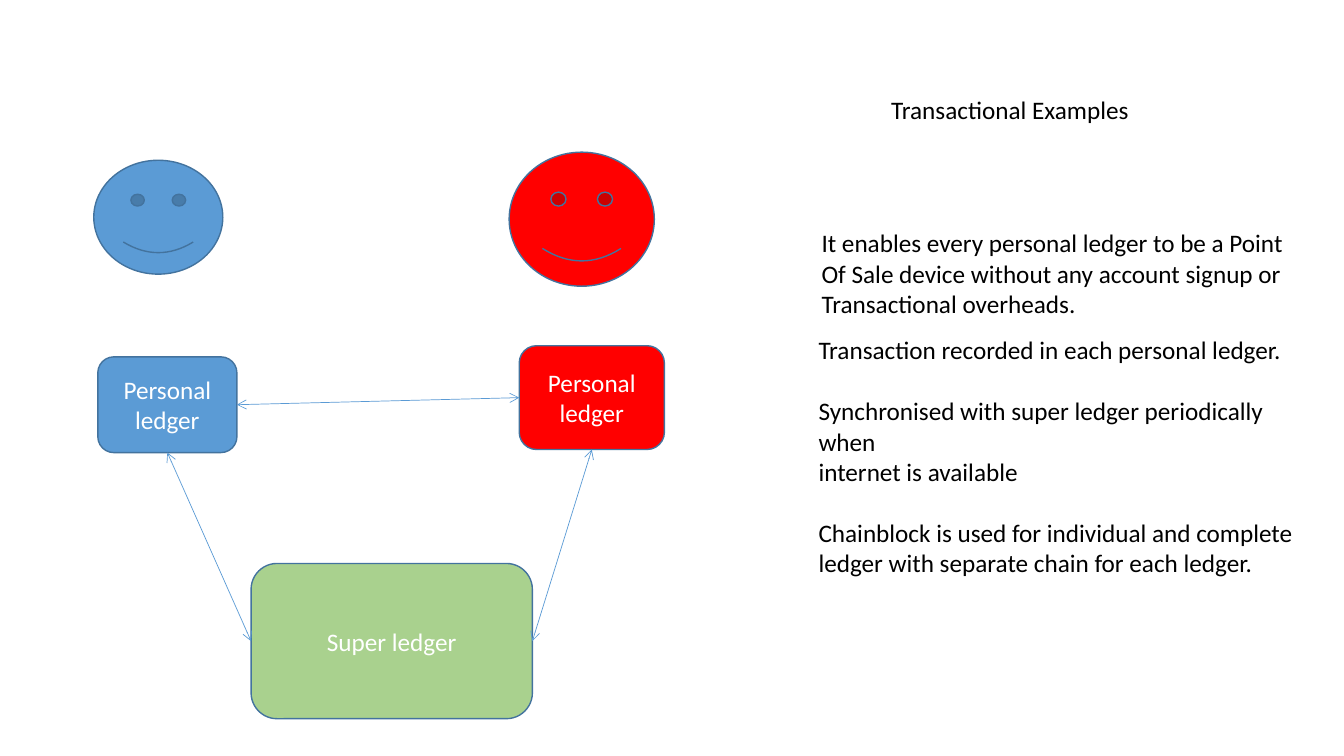
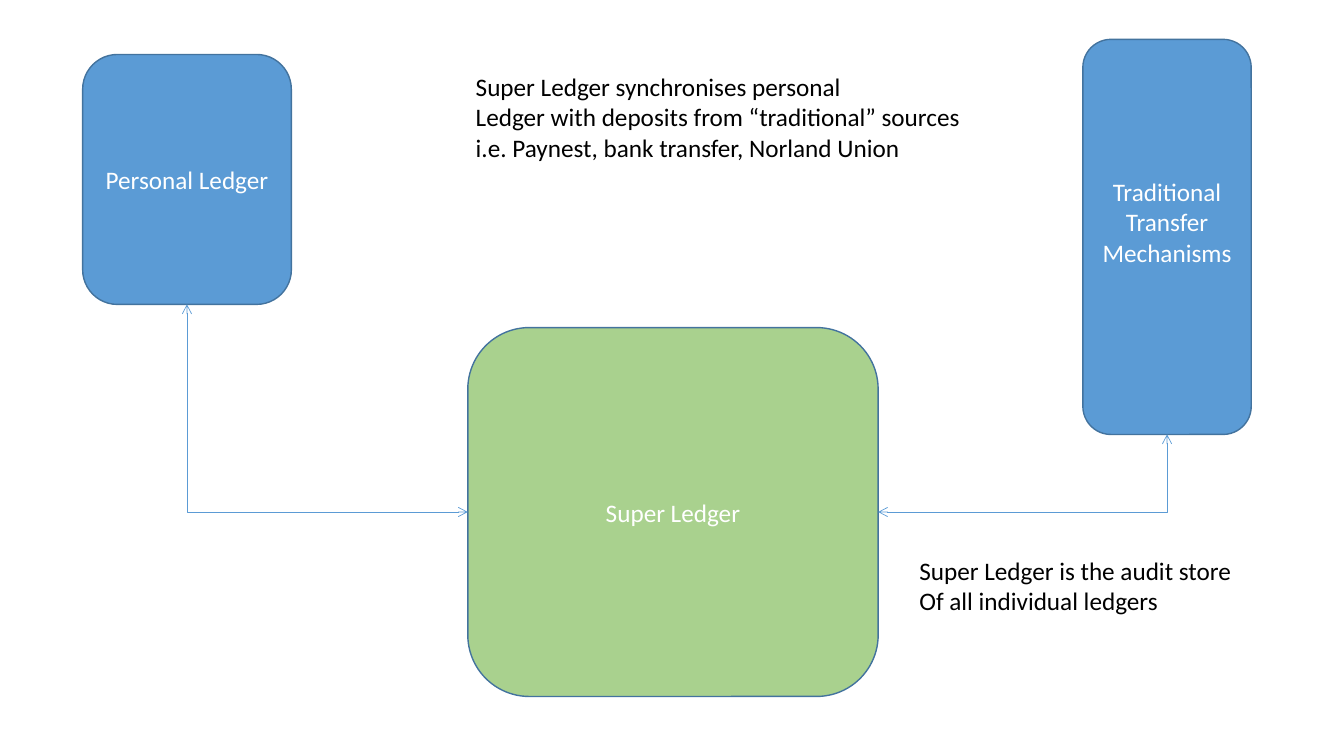
from lxml import etree
from pptx import Presentation
from pptx.dml.color import RGBColor
from pptx.enum.shapes import MSO_CONNECTOR, MSO_SHAPE
from pptx.enum.text import MSO_ANCHOR, PP_ALIGN
from pptx.oxml.ns import qn
from pptx.util import Inches, Pt

FACE, BLOCK = MSO_SHAPE.SMILEY_FACE, MSO_SHAPE.ROUNDED_RECTANGLE
STRAIGHT, ELBOW = MSO_CONNECTOR.STRAIGHT, MSO_CONNECTOR.ELBOW
LEFT, BOTTOM, RIGHT = 1, 2, 3

FONT, SIZE, LINE_HEIGHT = "Calibri", 18, 22
BLUE, RED, GREEN = "5B9BD5", "FF0000", "A9D18E"
OUTLINE, WHITE, BLACK = "43739E", "FFFFFF", "000000"

# shapes: key: (kind, left, top, width, height, fill, lines)
# links: (kind, from key, from side, to key, to side)
# notes: (left, top, width, height, wraps, groups of lines)
SLIDES = [
    {
        "shapes": {
            "payer": (FACE, 0.93, 1.59, 1.28, 1.13, BLUE, []),
            "payee": (FACE, 5.05, 1.51, 1.44, 1.33, RED, []),
            "payer ledger": (BLOCK, 0.97, 3.54, 1.38, 0.95, BLUE, ["Personal ledger"]),
            "payee ledger": (BLOCK, 5.15, 3.43, 1.44, 1.03, RED, ["Personal ledger"]),
            "super ledger": (BLOCK, 2.49, 5.59, 2.79, 1.54, GREEN, ["Super ledger"]),
        },
        "links": [
            (STRAIGHT, "payer ledger", RIGHT, "payee ledger", LEFT),
            (STRAIGHT, "payer ledger", BOTTOM, "super ledger", LEFT),
            (STRAIGHT, "payee ledger", BOTTOM, "super ledger", RIGHT),
        ],
        "notes": [
            (8.74, 0.89, 2.58, 0.4, False, [["Transactional Examples"]]),
            (8.02, 3.27, 5, 2.52, True, [
                ["Transaction recorded in each personal ledger."],
                ["Synchronised with super ledger periodically when",
                 "internet is available"],
                ["Chainblock is used for individual and complete",
                 "ledger with separate chain for each ledger."],
            ]),
            (8.05, 2.21, 4.89, 1.31, False, [
                ["It enables every personal ledger to be a Point",
                 "Of Sale device without any account signup or",
                 "Transactional overheads."],
            ]),
        ],
    },
    {
        "shapes": {
            "personal ledger": (BLOCK, 0.82, 0.54, 2.07, 2.48, BLUE, ["Personal Ledger"]),
            "super ledger": (BLOCK, 4.64, 3.25, 4.07, 3.66, GREEN, ["Super Ledger"]),
            "transfers": (BLOCK, 10.74, 0.39, 1.67, 3.92, BLUE,
                          ["Traditional", "Transfer", "Mechanisms"]),
        },
        "links": [
            (ELBOW, "super ledger", LEFT, "personal ledger", BOTTOM),
            (ELBOW, "super ledger", RIGHT, "transfers", BOTTOM),
        ],
        "notes": [
            (4.62, 0.66, 5.06, 1.01, False, [
                ["Super Ledger synchronises personal",
                 "Ledger with deposits from “traditional” sources",
                 "i.e. Paynest, bank transfer, Norland Union"],
            ]),
            (9.02, 5.46, 3.33, 0.71, False, [
                ["Super Ledger is the audit store",
                 "Of all individual ledgers"],
            ]),
        ],
    },
]
# The transfer label sits half a line above the middle of its block.
RAISED = {"transfers": Inches(0.35)}


def rgb(value):
    return RGBColor.from_string(value)


def style_text(frame, color, align):
    for paragraph in frame.paragraphs:
        paragraph.alignment = align
        font = paragraph.font
        font.name, font.size = FONT, Pt(SIZE)
        font.color.rgb = rgb(color)


def add_block(slide, key, kind, left, top, width, height, fill, lines):
    block = slide.shapes.add_shape(
        kind, Inches(left), Inches(top), Inches(width), Inches(height))
    block.shadow.inherit = False
    block.fill.solid()
    block.fill.fore_color.rgb = rgb(fill)
    block.line.color.rgb = rgb(OUTLINE)
    block.line.width = Pt(1)
    if lines:
        frame = block.text_frame
        frame.text = "\n".join(lines)
        frame.word_wrap = True
        frame.vertical_anchor = MSO_ANCHOR.MIDDLE
        if key in RAISED:
            frame.margin_bottom = RAISED[key]
        style_text(frame, WHITE, PP_ALIGN.CENTER)
    return block


def add_link(slide, kind, start, start_side, end, end_side):
    """Join two blocks with a double-headed arrow; elbows get a single bend."""
    link = slide.shapes.add_connector(kind, 0, 0, 0, 0)
    link.begin_connect(start, start_side)
    link.end_connect(end, end_side)
    link.line.color.rgb = rgb(BLUE)
    link.line.width = Pt(0.5)
    properties = link._element.spPr
    if kind == ELBOW:
        properties.find(qn("a:prstGeom")).set("prst", "bentConnector2")
    outline = properties.find(qn("a:ln"))
    for arrowhead in ("a:headEnd", "a:tailEnd"):
        etree.SubElement(outline, qn(arrowhead), type="arrow")
    etree.SubElement(properties, qn("a:effectLst"))


def add_note(slide, left, top, width, height, wraps, groups):
    """Add a text box with one line of space between groups."""
    note = slide.shapes.add_textbox(
        Inches(left), Inches(top), Inches(width), Inches(height))
    frame = note.text_frame
    frame.word_wrap = wraps
    frame.text = "\n".join(line for group in groups for line in group)
    style_text(frame, BLACK, PP_ALIGN.LEFT)
    first = 0
    for group in groups[:-1]:
        first += len(group)
        frame.paragraphs[first].space_before = Pt(LINE_HEIGHT)


def main():
    deck = Presentation()
    deck.slide_width, deck.slide_height = Inches(13.33), Inches(7.5)
    for content in SLIDES:
        slide = deck.slides.add_slide(deck.slide_layouts[6])
        blocks = {key: add_block(slide, key, *block)
                  for key, block in content["shapes"].items()}
        for kind, start, start_side, end, end_side in content["links"]:
            add_link(slide, kind, blocks[start], start_side, blocks[end], end_side)
        for note in content["notes"]:
            add_note(slide, *note)
    deck.save("out.pptx")


if __name__ == "__main__":
    main()
